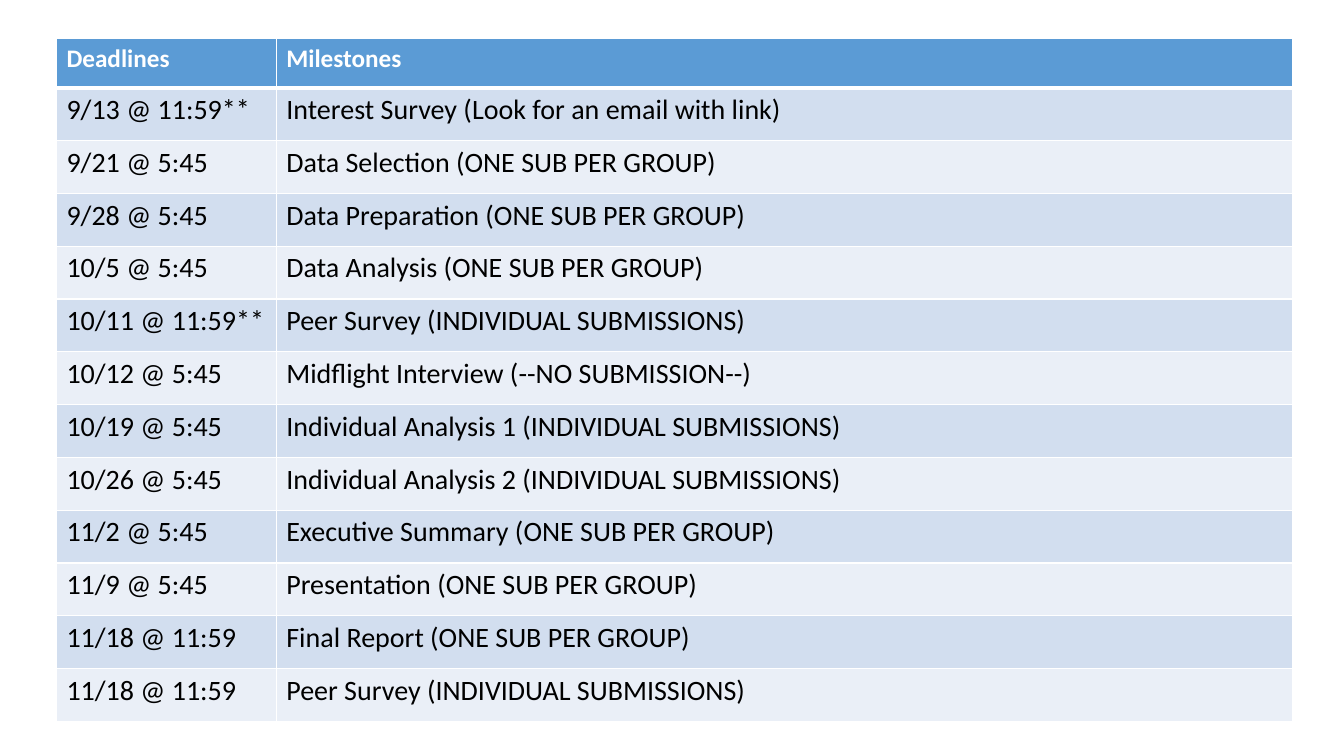
from pptx import Presentation
from pptx.util import Inches, Pt
from pptx.dml.color import RGBColor as RGB
from lxml.etree import SubElement as Sub
from pptx.oxml.ns import qn

HEAD = ("Deadlines", "Milestones")
GROUP = "ONE SUB PER GROUP"
SOLO = "INDIVIDUAL SUBMISSIONS"
STEPS = [
    ("9/13 @ 11:59**", "Interest Survey", "Look for an email with link"),
    ("9/21 @ 5:45", "Data Selection", GROUP),
    ("9/28 @ 5:45", "Data Preparation", GROUP),
    ("10/5 @ 5:45", "Data Analysis", GROUP),
    ("10/11 @ 11:59**", "Peer Survey", SOLO),
    ("10/12 @ 5:45", "Midflight Interview", "--NO SUBMISSION--"),
    ("10/19 @ 5:45", "Individual Analysis 1", SOLO),
    ("10/26 @ 5:45", "Individual Analysis 2", SOLO),
    ("11/2 @ 5:45", "Executive Summary", GROUP),
    ("11/9 @ 5:45", "Presentation", GROUP),
    ("11/18 @ 11:59", "Final Report", GROUP),
    ("11/18 @ 11:59", "Peer Survey", SOLO),
]
THEME = {
    "font": "Calibri",
    "line": "FFFFFF",
    "thin": 1,
    "thick": 3,
    "head": {"size": 18, "bold": True, "ink": "FFFFFF"},
    "body": {"size": 20, "bold": False, "ink": "000000"},
    "top": "5B9BD5",
    "bands": ("D2DEEF", "EAEFF7"),
}
WIDE, HIGH = 13.33, 7.5
LEFT, TOP, SPAN, DEEP = 0.56, 0.38, 12.26, 6.78
DATE, FIRST = 2.18, 0.49


def edge(cell, row):
    props = cell._tc.get_or_add_tcPr()
    heavy = {0: "B", 1: "T"}.get(row)
    for side in "LRTB":
        wide = THEME["thick" if side == heavy else "thin"]
        line = Sub(props, qn(f"a:ln{side}"), w=str(Pt(wide)))
        fill = Sub(line, qn("a:solidFill"))
        Sub(fill, qn("a:srgbClr"), val=THEME["line"])


def write(cell, text, look):
    run = cell.text_frame.paragraphs[0].add_run()
    run.text = text
    form = {"name": THEME["font"], "size": Pt(look["size"]), "bold": look["bold"]}
    for key, val in form.items():
        setattr(run.font, key, val)
    run.font.color.rgb = RGB.from_string(look["ink"])


deck = Presentation()
deck.slide_width, deck.slide_height = Inches(WIDE), Inches(HIGH)
slide = deck.slides.add_slide(deck.slide_layouts[6])

rows = [HEAD] + [(date, f"{step} ({note})") for date, step, note in STEPS]
area = [Inches(n) for n in (LEFT, TOP, SPAN, DEEP)]
table = slide.shapes.add_table(len(rows), len(HEAD), *area).table
for col, width in zip(table.columns, (DATE, SPAN - DATE)):
    col.width = Inches(width)
each = (DEEP - FIRST) / len(STEPS)

for r, texts in enumerate(rows):
    table.rows[r].height = Inches(each if r else FIRST)
    look = THEME["body" if r else "head"]
    shade = THEME["bands"][(r - 1) % 2] if r else THEME["top"]
    for c, text in enumerate(texts):
        cell = table.cell(r, c)
        edge(cell, r)
        cell.fill.solid()
        cell.fill.fore_color.rgb = RGB.from_string(shade)
        write(cell, text, look)

deck.save("out.pptx")
